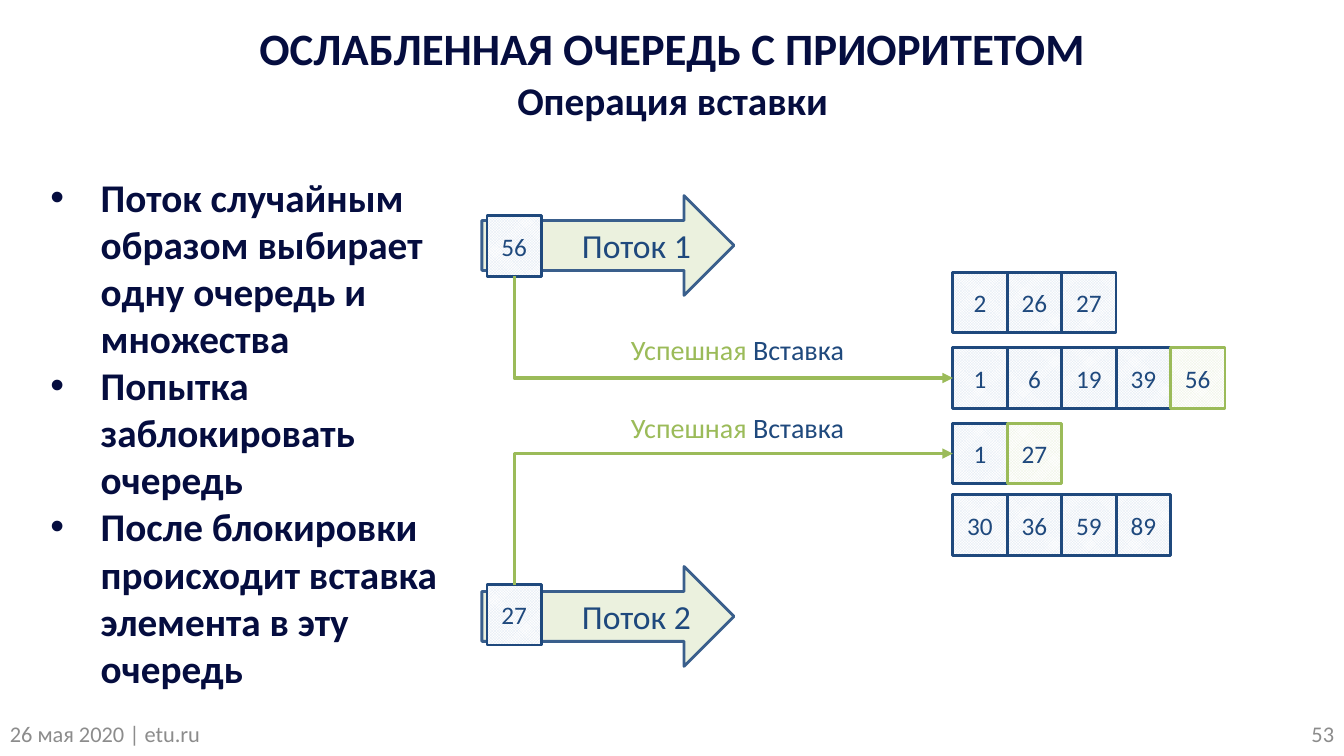
from dataclasses import dataclass

from lxml.etree import SubElement
from pptx import Presentation
from pptx.dml.color import RGBColor
from pptx.enum.dml import MSO_PATTERN
from pptx.enum.shapes import MSO_CONNECTOR, MSO_SHAPE
from pptx.enum.text import MSO_ANCHOR, MSO_AUTO_SIZE, PP_ALIGN
from pptx.oxml.ns import qn
from pptx.util import Inches, Pt

COLORS = {
    "navy": "050D3F",
    "blue": "1F497D",
    "arrow_line": "3A5F8C",
    "green": "9BBB59",
    "pale_blue": "DCE6F2",
    "pale_green": "EBF1DE",
    "white": "FFFFFF",
    "gray": "8C8C8C",
}
FONT = "Calibri"
CELL_WIDTH, CELL_HEIGHT = 0.54, 0.6
QUEUE_LEFT = 9.45
THREAD_LEFT, PACKET_LEFT = 4.78, 4.83


@dataclass
class TextBlock:
    left: float
    top: float
    width: float
    height: float
    paragraphs: list[list[tuple[str, str]]]  # runs as (text, color name)
    size: int
    bold: bool = False
    align: PP_ALIGN = PP_ALIGN.LEFT
    anchor: MSO_ANCHOR = MSO_ANCHOR.TOP
    wrap: bool = True
    bullets: bool = False


@dataclass
class Queue:
    top: float
    values: list[int]
    inserted: int | None = None


@dataclass
class Thread:
    name: str
    arrow_top: float
    packet_top: float
    value: int
    link_start: float
    link_end: float
    label_top: float


def rgb(name: str) -> RGBColor:
    return RGBColor.from_string(COLORS[name])


def add_run(paragraph, text: str, color: str, size: int, bold: bool = False) -> None:
    run = paragraph.add_run()
    run.text = text
    run.font.name = FONT
    run.font.size = Pt(size)
    run.font.bold = bold
    run.font.color.rgb = rgb(color)


def add_text(slide, block: TextBlock) -> None:
    shape = slide.shapes.add_textbox(
        Inches(block.left), Inches(block.top), Inches(block.width), Inches(block.height))
    frame = shape.text_frame
    frame.word_wrap = block.wrap
    frame.vertical_anchor = block.anchor
    if block.bullets or not block.wrap:
        frame.auto_size = MSO_AUTO_SIZE.SHAPE_TO_FIT_TEXT
    for index, runs in enumerate(block.paragraphs):
        paragraph = frame.add_paragraph() if index else frame.paragraphs[0]
        paragraph.alignment = block.align
        if block.bullets:
            properties = paragraph._p.get_or_add_pPr()
            properties.set("marL", str(Inches(0.5)))
            properties.set("indent", str(-Inches(0.5)))
            SubElement(properties, qn("a:buFont"), typeface="Arial")
            SubElement(properties, qn("a:buChar"), char="•")
        for text, color in runs:
            add_run(paragraph, text, color, block.size, block.bold)


def add_box(slide, kind: MSO_SHAPE, left: float, top: float, width: float, height: float,
            text: str, size: int, line: str):
    shape = slide.shapes.add_shape(
        kind, Inches(left), Inches(top), Inches(width), Inches(height))
    shape.shadow.inherit = False
    shape.line.color.rgb = rgb(line)
    shape.line.width = Pt(2)
    shape.text_frame.vertical_anchor = MSO_ANCHOR.MIDDLE
    paragraph = shape.text_frame.paragraphs[0]
    paragraph.alignment = PP_ALIGN.CENTER
    add_run(paragraph, text, "blue", size)
    return shape


def add_cell(slide, left: float, top: float, value: int, inserted: bool = False) -> None:
    shape = add_box(slide, MSO_SHAPE.RECTANGLE, left, top, CELL_WIDTH, CELL_HEIGHT,
                    str(value), 18, "green" if inserted else "blue")
    shape.fill.patterned()
    shape.fill.pattern = MSO_PATTERN.SMALL_CHECKER_BOARD
    shape.fill.fore_color.rgb = rgb("pale_green" if inserted else "pale_blue")
    shape.fill.back_color.rgb = rgb("white")


def add_queue(slide, queue: Queue) -> None:
    for index, value in enumerate(queue.values):
        add_cell(slide, QUEUE_LEFT + index * CELL_WIDTH, queue.top, value)
    if queue.inserted is not None:
        left = QUEUE_LEFT + len(queue.values) * CELL_WIDTH
        add_cell(slide, left, queue.top, queue.inserted, True)


def add_link(slide, x1: float, y1: float, x2: float, y2: float) -> None:
    """Bent arrow leaving vertically and arriving horizontally from the left."""
    down = y2 > y1
    middle_x, middle_y = (x1 + x2) / 2, (y1 + y2) / 2
    # The frame is turned a quarter, so its width and height swap
    half_width, half_height = abs(y2 - y1) / 2, (x2 - x1) / 2
    begin_y = middle_y - half_height if down else middle_y + half_height
    end_y = 2 * middle_y - begin_y
    connector = slide.shapes.add_connector(
        MSO_CONNECTOR.ELBOW, Inches(middle_x + half_width), Inches(begin_y),
        Inches(middle_x - half_width), Inches(end_y))
    connector.line.color.rgb = rgb("green")
    connector.line.width = Pt(2.5)
    properties = connector._element.spPr
    properties.find(qn("a:xfrm")).set("rot", str((270 if down else 90) * 60000))
    properties.find(qn("a:prstGeom")).set("prst", "bentConnector2")
    SubElement(properties.find(qn("a:ln")), qn("a:tailEnd"), type="triangle")
    SubElement(properties, qn("a:effectLst"))


def add_thread(slide, thread: Thread) -> None:
    arrow = add_box(slide, MSO_SHAPE.RIGHT_ARROW, THREAD_LEFT, thread.arrow_top, 2.5, 0.99,
                    thread.name, 24, "arrow_line")
    arrow.fill.solid()
    arrow.fill.fore_color.rgb = rgb("pale_green")
    arrow.text_frame.margin_left = Inches(0.91)  # room for the packet
    add_cell(slide, PACKET_LEFT, thread.packet_top, thread.value)
    add_link(slide, PACKET_LEFT + CELL_WIDTH / 2, thread.link_start,
             QUEUE_LEFT, thread.link_end)
    add_text(slide, TextBlock(6.16, thread.label_top, 2.4, 0.44,
                              [[("Успешная ", "green"), ("Вставка", "blue")]],
                              20, wrap=False))


TEXTS = [
    # Footer
    TextBlock(0, 7.1, 3.11, 0.4, [[("26 мая 2020 | etu.ru", "gray")]], 16),
    TextBlock(10.22, 7.1, 3.11, 0.4, [[("53", "gray")]], 16, align=PP_ALIGN.RIGHT),
    # Headings
    TextBlock(0.37, 0.18, 12.6, 0.58, [[("ОСЛАБЛЕННАЯ ОЧЕРЕДЬ С ПРИОРИТЕТОМ", "navy")]],
              32, True, PP_ALIGN.CENTER, MSO_ANCHOR.MIDDLE),
    TextBlock(0.37, 0.76, 12.6, 0.47, [[("Операция вставки", "navy")]],
              28, True, PP_ALIGN.CENTER, MSO_ANCHOR.MIDDLE),
    # Steps of the operation
    TextBlock(0.4, 1.67, 4.12, 5.28, [
        [("Поток случайным образом выбирает одну очередь и множества", "navy")],
        [("Попытка заблокировать очередь", "navy")],
        [("После блокировки происходит вставка элемента в эту очередь", "navy")],
    ], 28, True, bullets=True),
]
QUEUES = [
    Queue(2.7, [2, 26, 27]),
    Queue(3.45, [1, 6, 19, 39], 56),
    Queue(4.2, [1], 27),
    Queue(4.91, [30, 36, 59, 89]),
]
THREADS = [
    Thread("Поток 1", 1.94, 2.14, 56, 2.74, 3.75, 3.25),
    Thread("Поток 2", 5.62, 5.8, 27, 5.8, 4.5, 4.02),
]


def main() -> None:
    presentation = Presentation()
    presentation.slide_width = Inches(13.33)
    presentation.slide_height = Inches(7.5)
    slide = presentation.slides.add_slide(presentation.slide_layouts[6])
    for block in TEXTS:
        add_text(slide, block)
    for queue in QUEUES:
        add_queue(slide, queue)
    for thread in THREADS:
        add_thread(slide, thread)
    presentation.save("out.pptx")


if __name__ == "__main__":
    main()
